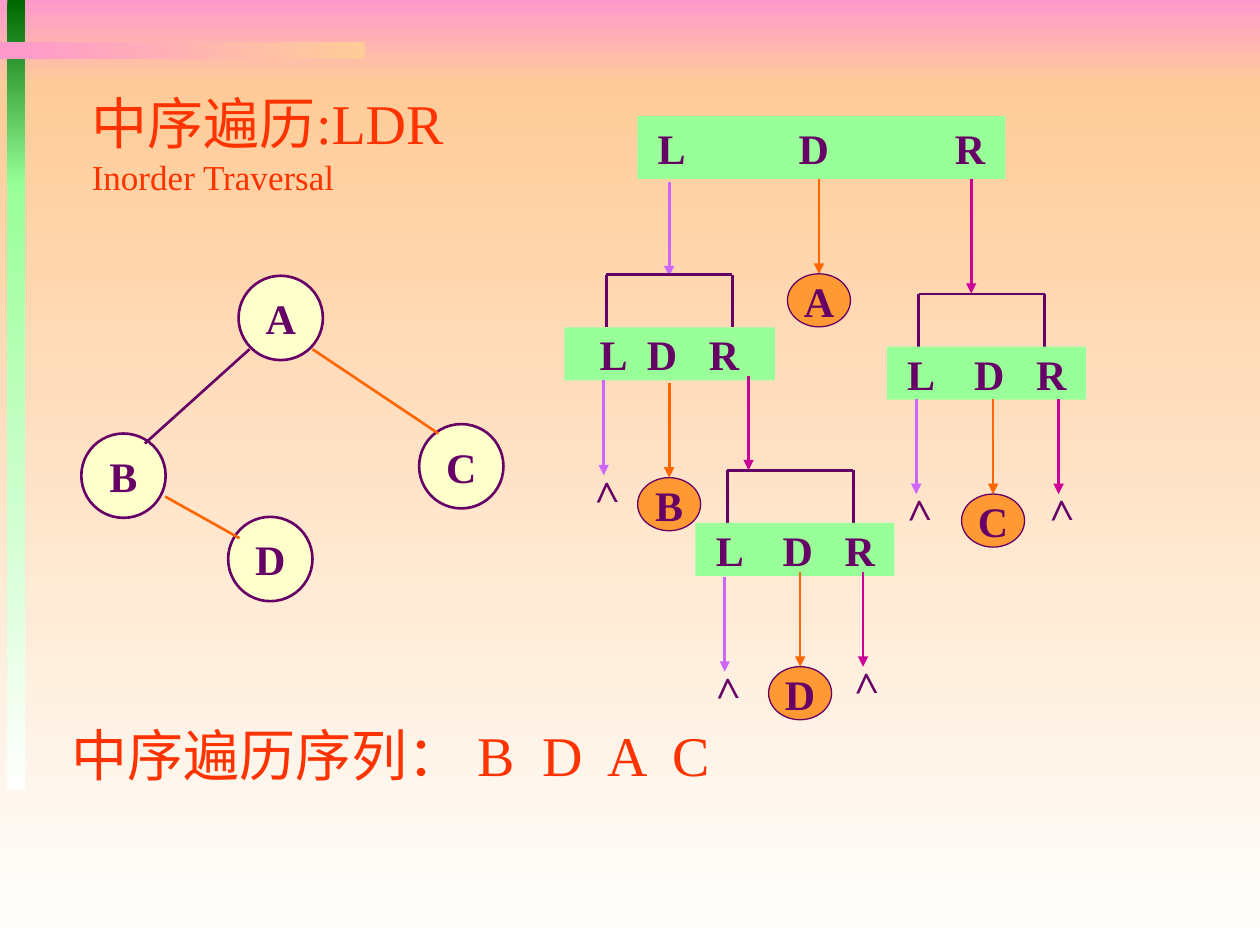
from lxml.etree import SubElement
from pptx import Presentation
from pptx.dml.color import RGBColor
from pptx.enum.shapes import MSO_CONNECTOR, MSO_SHAPE
from pptx.enum.text import MSO_ANCHOR, MSO_AUTO_SIZE, PP_ALIGN
from pptx.oxml.ns import qn
from pptx.util import Cm, Pt

FONT = "Times New Roman"
PURPLE = RGBColor(0x66, 0x00, 0x66)
VIOLET = RGBColor(0xCC, 0x66, 0xFF)
ORANGE = RGBColor(0xFF, 0x66, 0x00)
MAGENTA = RGBColor(0xCC, 0x00, 0x99)
RED = RGBColor(0xFF, 0x33, 0x00)
CREAM = RGBColor(0xFF, 0xFF, 0xCC)
AMBER = RGBColor(0xFF, 0x99, 0x33)
MINT = RGBColor(0x99, 0xFF, 0x99)
GREEN = RGBColor(0x00, 0x66, 0x00)
PINK = RGBColor(0xFF, 0x99, 0xCC)
PEACH = RGBColor(0xFF, 0xCC, 0x99)
WHITE = RGBColor(0xFF, 0xFF, 0xFF)

# Content; all lengths in centimetres
TITLE_LINES = [("中序遍历:LDR", 32), ("Inorder Traversal", 20)]
RESULT = "中序遍历序列：\tB\tD\tA\tC"
RESULT_TABS = [8.18 + 1.31 * index for index in range(4)]

# left, top, width, height, first colour, last colour, angle
BACKDROP = [
    (0, 0, 25.4, 1.7, PINK, PEACH, 270),
    (0, 1.7, 25.4, 17.35, PEACH, WHITE, 270),
    (0.15, 0, 0.36, 3.75, GREEN, MINT, 270),
    (0.15, 3.7, 0.36, 12.22, MINT, WHITE, 270),
    (0, 0.84, 7.35, 0.35, PINK, PEACH, 0),
]

# Binary tree: node centres, and edges as x1, y1, x2, y2, colour
NODES = {"A": (5.66, 6.41), "D": (5.45, 11.27), "B": (2.49, 9.59), "C": (9.3, 9.4)}
EDGES = [
    (5.03, 7.04, 2.92, 8.94, PURPLE),
    (6.3, 7.04, 8.84, 8.74, ORANGE),
    (3.33, 10.01, 4.83, 10.85, ORANGE),
]

# Recursive calls: bar, letter offsets in the bar, bracket offset, and
# the L, D, R arrows as x, top, length, what the arrow reaches
NULL = ">"
STEP = 1.91
CALLS = [
    {"bar": (12.85, 2.34, 7.42, 1.27), "letters": (0.41, 3.25, 6.4), "bracket": None,
     "arrows": [(13.49, 3.66, STEP, None), (16.51, 3.61, STEP, "A"), (19.58, 3.61, 2.31, None)]},
    {"bar": (11.38, 6.6, 4.24, 1.07), "letters": (0.71, 1.66, 2.91), "bracket": 0.84,
     "arrows": [(12.17, 7.67, STEP, NULL), (13.49, 7.72, STEP, "B"), (15.09, 7.57, STEP, None)]},
    {"bar": (14.02, 10.54, 4.01, 1.07), "letters": (0.41, 1.76, 3.01), "bracket": 0.64,
     "arrows": [(14.61, 11.63, STEP, NULL), (16.13, 11.53, STEP, "D"), (17.4, 11.53, STEP, NULL)]},
    {"bar": (17.88, 6.99, 4.01, 1.07), "letters": (0.41, 1.76, 3.01), "bracket": 0.64,
     "arrows": [(18.47, 8.05, STEP, NULL), (20.02, 8.05, STEP, "C"), (21.34, 8.05, STEP, NULL)]},
]
ARROW_COLORS = (VIOLET, ORANGE, MAGENTA)

NODE_SIZE = 1.7
LEAF_WIDTH, LEAF_HEIGHT = 1.27, 1.07
BRACKET_WIDTH, BRACKET_HEIGHT = 2.54, 1.06


def write_text(frame, text, size=24, color=PURPLE, bold=True, align=PP_ALIGN.LEFT,
               anchor=MSO_ANCHOR.TOP, wrap=True, tabs=(), margin=0.25, new=False):
    """Write one paragraph into a frame, or add one more when new is set."""
    frame.auto_size = MSO_AUTO_SIZE.NONE
    frame.word_wrap = wrap
    frame.vertical_anchor = anchor
    frame.margin_left, frame.margin_right = Cm(margin), Cm(min(margin, 0.25))
    frame.margin_top = frame.margin_bottom = Cm(0.13)
    paragraph = frame.add_paragraph() if new else frame.paragraphs[0]
    paragraph.alignment = align
    if tabs:
        tab_list = SubElement(paragraph._p.get_or_add_pPr(), qn("a:tabLst"))
        for position in tabs:
            SubElement(tab_list, qn("a:tab"), pos=str(Cm(position)), algn="l")
    run = paragraph.add_run()
    run.text = text
    run.font.name, run.font.size, run.font.bold = FONT, Pt(size), bold
    run.font.color.rgb = color


def add_box(slide, kind, left, top, width, height, fill=None, line_width=0):
    shape = slide.shapes.add_shape(kind, Cm(left), Cm(top), Cm(width), Cm(height))
    shape.shadow.inherit = False
    if fill is not None:
        shape.fill.solid()
        shape.fill.fore_color.rgb = fill
    if line_width:
        shape.line.color.rgb = PURPLE
        shape.line.width = Pt(line_width)
    else:
        shape.line.fill.background()
    return shape


def add_disc(slide, text, center_x, top, width, height, fill, line_width):
    disc = add_box(slide, MSO_SHAPE.OVAL, center_x - width / 2, top, width, height,
                   fill, line_width)
    write_text(disc.text_frame, text, align=PP_ALIGN.CENTER,
               anchor=MSO_ANCHOR.MIDDLE, wrap=False)


def add_line(slide, x1, y1, x2, y2, color=PURPLE, arrow=False):
    line = slide.shapes.add_connector(MSO_CONNECTOR.STRAIGHT, Cm(x1), Cm(y1), Cm(x2), Cm(y2))
    line.line.color.rgb = color
    line.line.width = Pt(1.5)
    if arrow:
        SubElement(line.line._get_or_add_ln(), qn("a:tailEnd"), type="triangle")
    SubElement(line._element.spPr, qn("a:effectLst"))


def add_text_box(slide, text, left, top, width, height, **text_format):
    box = slide.shapes.add_textbox(Cm(left), Cm(top), Cm(width), Cm(height))
    write_text(box.text_frame, text, **text_format)
    return box


def add_call(slide, call):
    left, top, width, height = call["bar"]
    # Bracket above the bar
    if call["bracket"] is not None:
        start = left + call["bracket"]
        end, roof = start + BRACKET_WIDTH, top - BRACKET_HEIGHT
        add_line(slide, start, roof, end, roof)
        for x in (start, end):
            add_line(slide, x, roof, x, top)
    # Bar with its three letters
    bar = add_box(slide, MSO_SHAPE.RECTANGLE, left, top, width, height, MINT)
    first, *others = call["letters"]
    write_text(bar.text_frame, "L\tD\tR", anchor=MSO_ANCHOR.MIDDLE, margin=first,
               tabs=[offset - first for offset in others])
    # Arrows and what they reach
    for (x, start, length, target), color in zip(call["arrows"], ARROW_COLORS):
        end = start + length
        add_line(slide, x, start, x, end, color, arrow=True)
        if target == NULL:
            mark = add_text_box(slide, NULL, x - 0.53, end - 0.33, 1.07, 1.27)
            mark.rotation = 268.3
        elif target:
            add_disc(slide, target, x, end, LEAF_WIDTH, LEAF_HEIGHT, AMBER, 0.75)


def main():
    presentation = Presentation()
    presentation.slide_width, presentation.slide_height = Cm(25.4), Cm(19.05)
    slide = presentation.slides.add_slide(presentation.slide_layouts[5])

    # Backdrop
    for left, top, width, height, first, last, angle in BACKDROP:
        band = add_box(slide, MSO_SHAPE.RECTANGLE, left, top, width, height)
        band.fill.gradient()
        band.fill.gradient_angle = angle
        for stop, color, position in zip(band.fill.gradient_stops, (first, last), (0, 1)):
            stop.color.rgb = color
            stop.position = position

    # Binary tree
    for name, (x, y) in NODES.items():
        add_disc(slide, name, x, y - NODE_SIZE / 2, NODE_SIZE, NODE_SIZE, CREAM, 1.5)
    for edge in EDGES:
        add_line(slide, *edge)

    # Recursive calls
    for call in CALLS:
        add_call(slide, call)

    # Resulting sequence
    add_text_box(slide, RESULT, 1.19, 14.4, 13.51, 1.63, size=32, color=RED,
                 bold=False, tabs=RESULT_TABS)

    # Title, brought in front of the backdrop
    title = slide.shapes.title
    title.left, title.top, title.width, title.height = Cm(1.6), Cm(1.65), Cm(7.72), Cm(4.67)
    for index, (text, size) in enumerate(TITLE_LINES):
        write_text(title.text_frame, text, size=size, color=RED, bold=False, new=index > 0)
    title.element.getparent().append(title.element)

    presentation.save("out.pptx")


if __name__ == "__main__":
    main()
